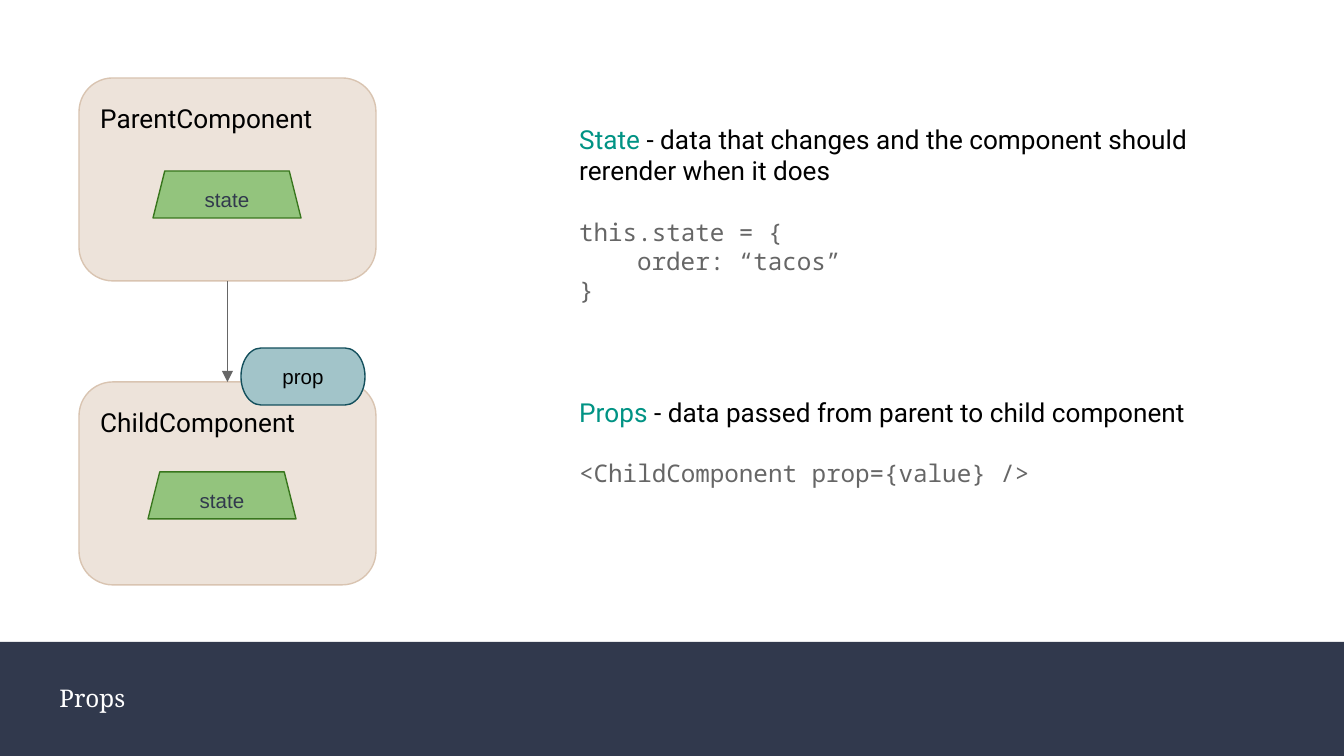
from lxml import etree
from pptx import Presentation, util as u
from pptx.dml.color import RGBColor
from pptx.enum import shapes, text
from pptx.oxml import ns

PIXEL = 914400 / 134.4
GREEN, BLACK, GREY, NAVY = "009384", "000000", "666666", "31394D"
SANS, MONO = "Roboto", "Noto Sans Mono"


def px(*lengths):
    """Turn whole pixels into EMU."""
    return [u.Emu(round(length * PIXEL)) for length in lengths]


def color(value):
    """Turn a hex string into a colour."""
    return RGBColor.from_string(value)


def write(paragraph, words, size=14, font=SANS, ink=BLACK):
    """Add one formatted run to a paragraph."""
    run = paragraph.add_run()
    run.text = words
    run.font.size, run.font.name = u.Pt(size), font
    run.font.color.rgb = color(ink)


class Deck:
    """Holds the style and the current slide."""

    def __init__(self, width, height):
        """Start a presentation with one title slide."""
        self.presentation = Presentation()
        self.presentation.slide_width, self.presentation.slide_height = px(width, height)
        self.slide = self.presentation.slides.add_slide(self.presentation.slide_layouts[5])
        self.line_width = u.Pt(0.75)

    def frame(self, shape, anchor=text.MSO_ANCHOR.TOP, align=text.PP_ALIGN.LEFT):
        """Set insets and alignment, and return the text frame."""
        frame = shape.text_frame
        frame.margin_left = frame.margin_right = u.Inches(0.1)
        frame.margin_top = frame.margin_bottom = u.Inches(0.1)
        frame.word_wrap = True
        frame.auto_size = text.MSO_AUTO_SIZE.NONE
        frame.vertical_anchor = anchor
        frame.paragraphs[0].alignment = align
        return frame

    def title(self, box, words):
        """Place the title placeholder in the footer bar."""
        title = self.slide.shapes.title
        title.left, title.top, title.width, title.height = px(*box)
        frame = self.frame(title, text.MSO_ANCHOR.MIDDLE)
        write(frame.paragraphs[0], words, 13, "Noto Serif", "FFFFFF")

    def shape(self, kind, box, fill, line=None, words="", ink=BLACK,
              anchor=text.MSO_ANCHOR.TOP):
        """Draw a filled shape with an optional outline and centred label."""
        shape = self.slide.shapes.add_shape(kind, *px(*box))
        shape.shadow.inherit = False
        shape.fill.solid()
        shape.fill.fore_color.rgb = color(fill)
        if line:
            shape.line.color.rgb = color(line)
            shape.line.width = self.line_width
        else:
            shape.line.fill.background()
        if words:
            frame = self.frame(shape, anchor, text.PP_ALIGN.CENTER)
            write(frame.paragraphs[0], words, 11, "Arial", ink)
        return shape

    def text_box(self, box):
        """Add a wrapping text box and return its text frame."""
        return self.frame(self.slide.shapes.add_textbox(*px(*box)))

    def definition(self, box, term, meaning, code):
        """Explain a term, then show code given as (indent, line) pairs."""
        frame = self.text_box(box)
        write(frame.paragraphs[0], term, ink=GREEN)
        write(frame.paragraphs[0], " - " + meaning)
        for number, (indent, line) in enumerate(code):
            paragraph = frame.add_paragraph()
            if number == 0:
                paragraph.space_before = u.Pt(16.4)
            if indent:
                paragraph._p.get_or_add_pPr().set("marL", str(px(indent)[0]))
            write(paragraph, line, 13, MONO, GREY)

    def arrow(self, start, end):
        """Connect the bottom of one shape to the top of another."""
        arrow = self.slide.shapes.add_connector(shapes.MSO_CONNECTOR.STRAIGHT, 0, 0, 0, 0)
        arrow.begin_connect(start, 2)
        arrow.end_connect(end, 0)
        arrow.line.color.rgb = color(GREY)
        arrow.line.width = self.line_width
        etree.SubElement(arrow.line._get_or_add_ln(), ns.qn("a:tailEnd"), type="triangle")
        etree.SubElement(arrow._element.spPr, ns.qn("a:effectLst"))


def main():
    """Build the slide about state and props."""
    kind = shapes.MSO_SHAPE
    deck = Deck(1344, 756)
    bar = deck.shape(kind.RECTANGLE, (0, 642, 1344, 114), NAVY)
    deck.slide.shapes.title._element.addprevious(bar._element)
    deck.title((46, 664, 1173, 67), "Props")

    components = []
    for name, top, state_left, state_top in (("ParentComponent", 78, 153, 171),
                                             ("ChildComponent", 382, 148, 472)):
        components.append(deck.shape(kind.ROUNDED_RECTANGLE, (79, top, 297, 203),
                                     "EDE3DA", "D9C4B1"))
        label = deck.text_box((87, top + 11, 261, 59))
        write(label.paragraphs[0], name)
        deck.shape(kind.TRAPEZOID, (state_left, state_top, 148, 47),
                   "93C47D", "38761D", "state", NAVY)
    deck.shape(kind.FLOWCHART_TERMINATOR, (241, 348, 124, 57), "A2C4C9", "134F5C",
               "prop", anchor=text.MSO_ANCHOR.MIDDLE)
    deck.arrow(*components)

    deck.definition((566, 110, 653, 211), "State",
                    "data that changes and the component should rerender when it does",
                    [(0, "this.state = {"), (58, "order: “tacos”"), (0, "}")])
    deck.definition((566, 383, 653, 120), "Props",
                    "data passed from parent to child component",
                    [(0, "<ChildComponent prop={value} />")])
    deck.presentation.save("out.pptx")


main()
